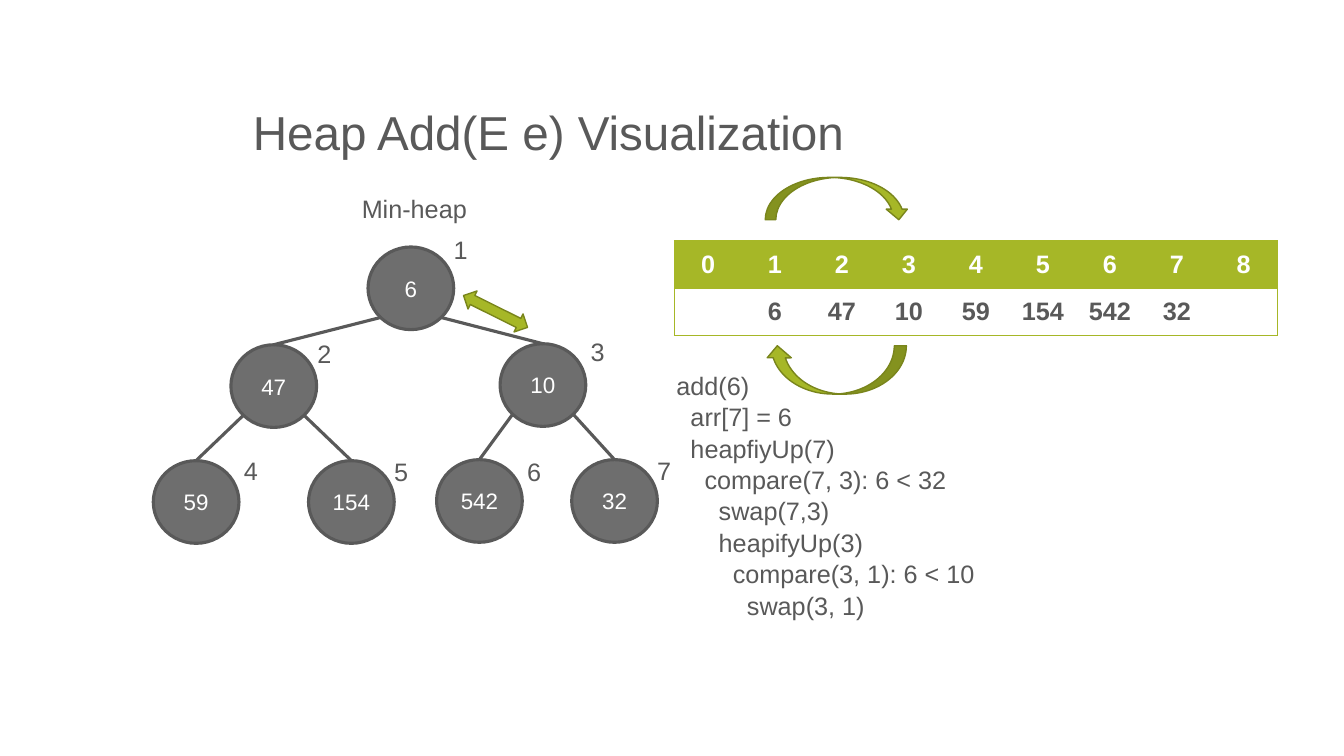
import math
from typing import NamedTuple

from lxml import etree
from pptx import Presentation, util as u
from pptx.dml.color import RGBColor
from pptx.enum import shapes, text
from pptx.oxml import ns

PX = 9144  # EMU per px, 100 px to the inch
FONT = "Arial"
COLORS = {"ink": "595959", "node": "6E6E6E", "green": "A6B727",
          "green_edge": "79851C", "white": "FFFFFF"}
NO_TABLE_STYLE = "{2D5ABB26-0587-4C30-8999-92F81FD0307C}"
NODE_W, NODE_H = 85, 82
CENTER = text.PP_ALIGN.CENTER


class Node(NamedTuple):
    left: int
    top: int
    index_left: int
    index_top: int


class Arrow(NamedTuple):
    preset: shapes.MSO_SHAPE
    left: int
    top: int
    width: int
    height: int
    rotation: float = 0
    mirrored: bool = False


class CodeLine(NamedTuple):
    depth: int
    code: str


# Heap slots 0 to 8, shared by the tree and the array
HEAP = ["", "6", "47", "10", "59", "154", "542", "32", ""]

NODES = {
    1: Node(365, 245, 440, 228),
    2: Node(229, 342, 305, 331),
    3: Node(496, 341, 576, 329),
    4: Node(152, 457, 232, 447),
    5: Node(306, 457, 381, 448),
    6: Node(433, 456, 513, 448),
    7: Node(567, 456, 642, 447),
}

SWAP_ARROWS = [
    Arrow(shapes.MSO_SHAPE.LEFT_RIGHT_ARROW, 456, 299, 71, 20, rotation=26.5),
    Arrow(shapes.MSO_SHAPE.CURVED_DOWN_ARROW, 759, 176, 143, 42),
    Arrow(shapes.MSO_SHAPE.CURVED_UP_ARROW, 759, 343, 140, 48, mirrored=True),
]

TRACE = [
    CodeLine(0, "add(6)"),
    CodeLine(1, "arr[7] = 6"),
    CodeLine(1, "heapfiyUp(7)"),
    CodeLine(2, "compare(7, 3): 6 < 32"),
    CodeLine(3, "swap(7,3)"),
    CodeLine(3, "heapifyUp(3)"),
    CodeLine(4, "compare(3, 1): 6 < 10"),
    CodeLine(5, "swap(3, 1)"),
]


def px(*lengths: float) -> list[u.Emu]:
    return [u.Emu(round(length * PX)) for length in lengths]


def color(name: str) -> RGBColor:
    return RGBColor.from_string(COLORS[name])


def add_run(paragraph, words: str, size: int, ink: str = "ink",
            bold: bool = False) -> None:
    run = paragraph.add_run()
    run.text = words
    run.font.name = FONT
    run.font.size = u.Pt(size)
    run.font.bold = bold
    run.font.color.rgb = color(ink)


def add_text_frame(slide, left: int, top: int, width: int, height: int):
    frame = slide.shapes.add_textbox(*px(left, top, width, height)).text_frame
    frame.word_wrap = True
    return frame


def add_label(slide, words: str, left: int, top: int, width: int) -> None:
    frame = add_text_frame(slide, left, top, width, 40)
    add_run(frame.paragraphs[0], words, 18)


def add_filled_shape(slide, preset, box: tuple, fill: str, line: str,
                     line_width: float):
    shape = slide.shapes.add_shape(preset, *px(*box))
    shape.shadow.inherit = False
    shape.fill.solid()
    shape.fill.fore_color.rgb = color(fill)
    shape.line.color.rgb = color(line)
    shape.line.width = u.Pt(line_width)
    return shape


def add_node(slide, index: int, node: Node) -> None:
    circle = add_filled_shape(slide, shapes.MSO_SHAPE.OVAL,
                              (node.left, node.top, NODE_W, NODE_H),
                              "node", "ink", 2.25)
    frame = circle.text_frame
    frame.vertical_anchor = text.MSO_ANCHOR.MIDDLE
    frame.paragraphs[0].alignment = CENTER
    add_run(frame.paragraphs[0], HEAP[index], 16, "white")
    add_label(slide, str(index), node.index_left, node.index_top, 35)


def add_edge(slide, child_index: int) -> None:
    """Join a child's top to its parent's lower left or lower right."""
    parent, child = NODES[child_index // 2], NODES[child_index]
    side = 1 if child_index % 2 else -1
    start_x = parent.left + NODE_W / 2 * (1 + side * math.sqrt(0.5))
    start_y = parent.top + NODE_H / 2 * (1 + math.sqrt(0.5))
    edge = slide.shapes.add_connector(
        shapes.MSO_CONNECTOR.STRAIGHT,
        *px(start_x, start_y, child.left + NODE_W / 2, child.top))
    edge.line.color.rgb = color("ink")
    edge.line.width = u.Pt(2.25)
    etree.SubElement(edge.element.spPr, ns.qn("a:effectLst"))


def add_swap_arrow(slide, arrow: Arrow) -> None:
    box = (arrow.left, arrow.top, arrow.width, arrow.height)
    shape = add_filled_shape(slide, arrow.preset, box, "green", "green_edge", 1)
    shape.rotation = arrow.rotation
    if arrow.mirrored:
        shape.element.spPr.xfrm.set("flipH", "1")


def add_cell_border(cell, side: str) -> None:
    line = etree.SubElement(cell._tc.get_or_add_tcPr(), ns.qn(f"a:ln{side}"),
                            w=str(u.Pt(1)))
    fill = etree.SubElement(line, ns.qn("a:solidFill"))
    etree.SubElement(fill, ns.qn("a:srgbClr"), val=COLORS["green"])


def add_heap_array(slide) -> None:
    last = len(HEAP) - 1
    table = slide.shapes.add_table(2, len(HEAP), *px(669, 239, 598, 94)).table
    table._tbl.tblPr.find(ns.qn("a:tableStyleId")).text = NO_TABLE_STYLE
    table.first_row = table.horz_banding = False
    rows = [([str(i) for i in range(len(HEAP))], "green", "white"),
            (HEAP, "white", "ink")]
    for r, (values, fill, ink) in enumerate(rows):
        for c, value in enumerate(values):
            cell = table.cell(r, c)
            sides = ("L" if c == 0 else "") + ("R" if c == last else "") + "TB"
            for side in sides:
                add_cell_border(cell, side)
            cell.fill.solid()
            cell.fill.fore_color.rgb = color(fill)
            cell.vertical_anchor = text.MSO_ANCHOR.MIDDLE
            (cell.margin_left, cell.margin_right,
             cell.margin_top, cell.margin_bottom) = px(8, 8, 8, 8)
            paragraph = cell.text_frame.paragraphs[0]
            paragraph.alignment = CENTER
            if value:
                add_run(paragraph, value, 18, ink, bold=True)


def add_trace(slide) -> None:
    frame = add_text_frame(slide, 661, 361, 371, 252)
    for i, line in enumerate(TRACE):
        paragraph = frame.add_paragraph() if i else frame.paragraphs[0]
        paragraph.line_spacing = 1.04
        paragraph._p.get_or_add_pPr().set("marL", str(line.depth * 14 * PX))
        add_run(paragraph, line.code, 18)


def main() -> None:
    deck = Presentation()
    deck.slide_width, deck.slide_height = px(1333, 750)
    slide = deck.slides.add_slide(deck.slide_layouts[6])

    # Headings
    title = add_text_frame(slide, 241, 33, 1025, 131)
    title.vertical_anchor = text.MSO_ANCHOR.BOTTOM
    title.paragraphs[0].line_spacing = 0.9
    add_run(title.paragraphs[0], "Heap Add(E e) Visualization", 34)
    add_label(slide, "Min-heap", 349, 187, 127)

    # Tree
    for index, node in NODES.items():
        add_node(slide, index, node)
    for child_index in range(2, len(NODES) + 1):
        add_edge(slide, child_index)

    # Array, call trace and swaps
    add_heap_array(slide)
    add_trace(slide)
    for arrow in SWAP_ARROWS:
        add_swap_arrow(slide, arrow)

    deck.save("out.pptx")


if __name__ == "__main__":
    main()
